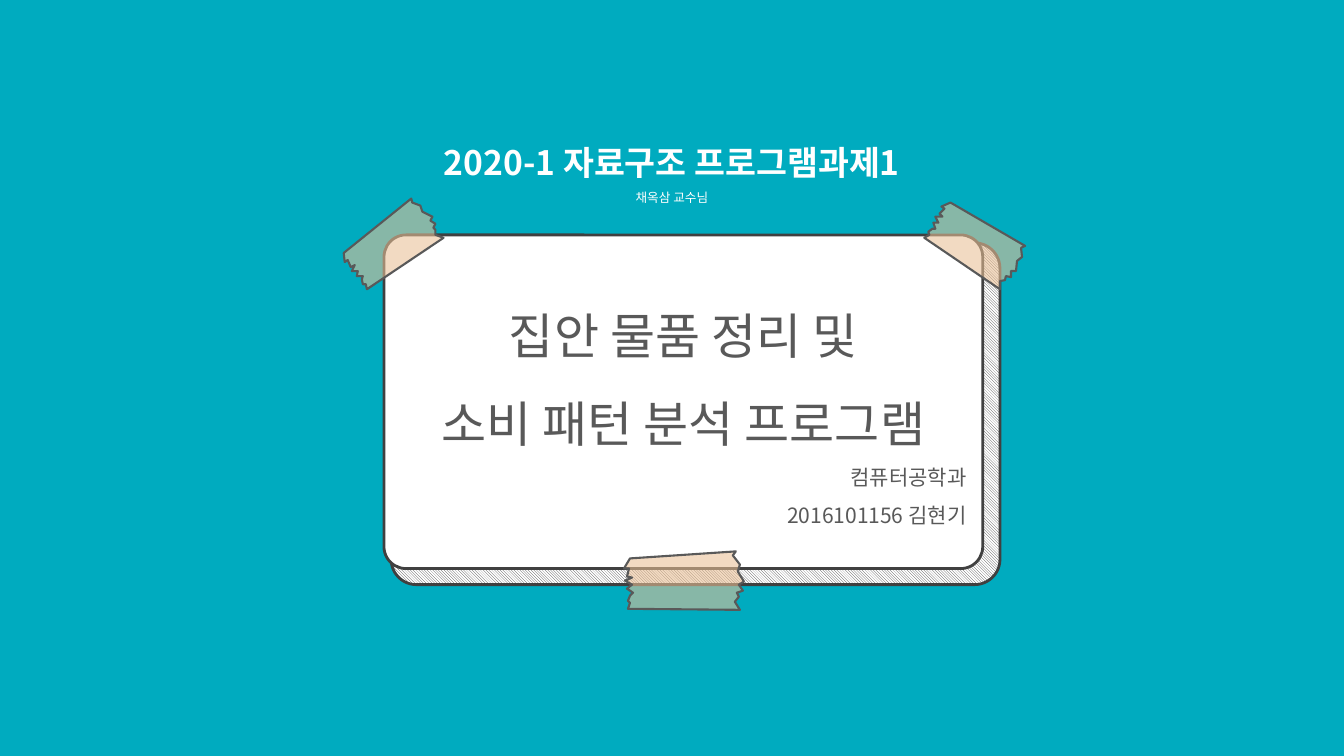
from lxml.etree import SubElement
from pptx import Presentation
from pptx.dml.color import RGBColor
from pptx.enum.dml import MSO_PATTERN
from pptx.enum.shapes import MSO_SHAPE
from pptx.enum.text import MSO_ANCHOR, MSO_AUTO_SIZE, PP_ALIGN
from pptx.oxml.ns import qn
from pptx.util import Pt

FONT = "Noto Sans CJK KR"
TEAL, WHITE, CHARCOAL, GRAY, TAPE = "00ABBF", "FFFFFF", "404040", "595959", "EAC096"
TAPE_UNIT = Pt(0.72)

LEFT_TAPE = [
    (341, 251), (342, 260), (345, 258), (348, 265), (352, 263), (349, 269),
    (355, 269), (354, 274), (360, 274), (359, 277), (360, 282), (363, 282),
    (364, 287), (440, 236), (432, 233), (432, 228), (430, 226), (432, 222),
    (427, 219), (429, 215), (419, 210), (417, 204), (409, 201), (408, 197),
]
RIGHT_TAPE = [
    (943, 201), (934, 205), (937, 207), (932, 212), (935, 215), (928, 215),
    (931, 221), (926, 221), (928, 227), (925, 227), (921, 230), (922, 233),
    (917, 236), (992, 287), (992, 279), (997, 278), (998, 274), (1003, 275),
    (1003, 269), (1008, 269), (1009, 259), (1014, 255), (1013, 246), (1017, 244),
]
BOTTOM_TAPE = [
    (625, 554), (619, 564), (624, 564), (622, 572), (627, 573), (620, 576),
    (627, 580), (622, 584), (628, 588), (625, 591), (623, 596), (625, 598),
    (623, 604), (734, 605), (729, 597), (733, 592), (731, 588), (737, 586),
    (733, 580), (738, 577), (732, 567), (734, 560), (727, 551), (730, 547),
]


def color(value):
    return RGBColor.from_string(value)


def set_outline(shape, line_color, width):
    shape.shadow.inherit = False
    shape.line.color.rgb = color(line_color)
    shape.line.width = Pt(width)


def add_card(slide, left, top, width, height, corner):
    card = slide.shapes.add_shape(
        MSO_SHAPE.ROUNDED_RECTANGLE, Pt(left), Pt(top), Pt(width), Pt(height))
    card.adjustments[0] = corner
    set_outline(card, CHARCOAL, 2)
    return card


def add_tape(slide, points):
    builder = slide.shapes.build_freeform(*points[0], scale=TAPE_UNIT)
    builder.add_line_segments(points[1:], close=True)
    tape = builder.convert_to_shape()
    set_outline(tape, GRAY, 1.5)
    tape.fill.solid()
    tape.fill.fore_color.rgb = color(TAPE)
    fill_color = tape.fill._xPr.find(qn("a:solidFill"))[0]
    SubElement(fill_color, qn("a:alpha"), val="58000")


def write_lines(text_frame, lines, text_color):
    text_frame.word_wrap = True
    for index, (text, size, bold, alignment) in enumerate(lines):
        paragraph = text_frame.paragraphs[0] if index == 0 else text_frame.add_paragraph()
        paragraph.text = text
        paragraph.alignment = alignment
        paragraph.line_spacing = 1.5
        paragraph.font.size = Pt(size)
        paragraph.font.bold = bold
        paragraph.font.color.rgb = color(text_color)
        paragraph.font.name = FONT
        SubElement(paragraph.font._rPr, qn("a:ea"), typeface=FONT)


def add_heading(slide):
    heading = slide.shapes.add_textbox(Pt(262.8), Pt(83.5), Pt(434.2), Pt(64.8))
    write_lines(heading.text_frame, [
        ("2020-1 자료구조 프로그램과제1", 24, True, PP_ALIGN.CENTER),
        ("채옥삼 교수님", 9, False, PP_ALIGN.CENTER),
    ], WHITE)
    heading.text_frame.auto_size = MSO_AUTO_SIZE.SHAPE_TO_FIT_TEXT


def add_title_card(slide):
    back = add_card(slide, 279.4, 173.5, 434.9, 244.1, 0.074)
    back.fill.patterned()
    back.fill.pattern = MSO_PATTERN.DARK_DOWNWARD_DIAGONAL
    back.fill.fore_color.rgb = color(CHARCOAL)
    back.fill.back_color.rgb = color(WHITE)

    front = add_card(slide, 274.3, 167.8, 427.7, 238.3, 0.066)
    front.fill.solid()
    front.fill.fore_color.rgb = color(WHITE)
    front.text_frame.vertical_anchor = MSO_ANCHOR.MIDDLE
    write_lines(front.text_frame, [
        ("집안 물품 정리 및", 35, False, PP_ALIGN.CENTER),
        ("소비 패턴 분석 프로그램", 35, False, PP_ALIGN.CENTER),
        ("컴퓨터공학과", 15, False, PP_ALIGN.RIGHT),
        ("2016101156 김현기", 15, False, PP_ALIGN.RIGHT),
    ], GRAY)


def main():
    presentation = Presentation()
    presentation.slide_width = Pt(960)
    presentation.slide_height = Pt(540)
    slide = presentation.slides.add_slide(presentation.slide_layouts[6])
    slide.background.fill.solid()
    slide.background.fill.fore_color.rgb = color(TEAL)
    add_heading(slide)
    add_title_card(slide)
    for points in (LEFT_TAPE, RIGHT_TAPE, BOTTOM_TAPE):
        add_tape(slide, points)
    presentation.save("out.pptx")


if __name__ == "__main__":
    main()
